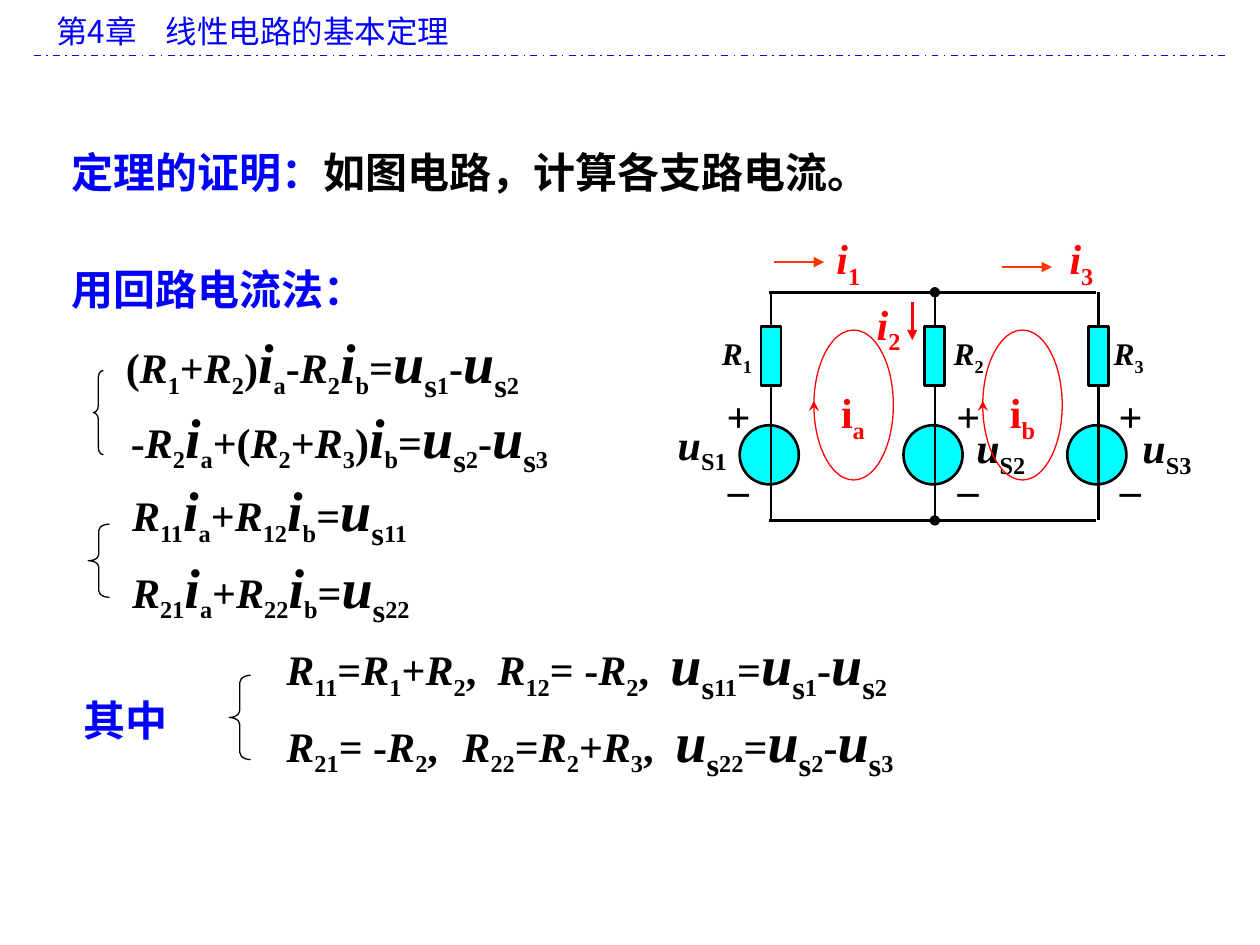
from itertools import groupby
from lxml.etree import SubElement
from pptx import Presentation
from pptx.dml.color import RGBColor
from pptx.enum.dml import MSO_LINE
from pptx.enum.shapes import MSO_CONNECTOR, MSO_SHAPE
from pptx.enum.text import MSO_ANCHOR, PP_ALIGN
from pptx.oxml.ns import qn
from pptx.util import Pt

BLACK, BLUE, RED, CYAN = "000000", "0000FF", "FF0000", "00FFFF"
SERIF, SANS = "Times New Roman", "Noto Sans CJK SC"
LEFT, MID = PP_ALIGN.LEFT, PP_ALIGN.CENTER


def tint(fmt, hue):
    fmt.rgb = RGBColor.from_string(hue)


def add_run(para, words, size, hue, font, bold, slant, sub):
    run = para.add_run()
    run.text = words
    run.font.size = Pt(size)
    run.font.bold = bold
    run.font.italic = slant
    run.font.name = font
    run.font.fill.solid()
    tint(run.font.fill.fore_color, hue)
    props = run._r.get_or_add_rPr()
    SubElement(props, qn("a:ea"), typeface=SANS)
    if sub:
        props.set("baseline", "-25000")


def write(para, words, size=24, big=None, hue=BLACK, font=SERIF,
          bold=True, slant=True):
    big = big or size
    for pos, part in enumerate(words.replace("}", "{").split("{")):
        sub = pos % 2 == 1
        heads = "s" if sub else "Riu"
        for head, chars in groupby(part, lambda c: c if c in heads else ""):
            large = head and head in "ius"
            add_run(para, "".join(chars), big if large else size, hue, font,
                    bold, bool(head) and slant and not sub, sub)


def set_tabs(para, stops):
    tabs = SubElement(para._p.get_or_add_pPr(), qn("a:tabLst"))
    for stop in stops:
        SubElement(tabs, qn("a:tab"), pos=str(Pt(stop)), algn="l")


def label(slide, rows, x, y, w, h, box=None, align=LEFT,
          anchor=MSO_ANCHOR.TOP, stops=(), **form):
    area = tuple(map(Pt, (x, y, w, h)))
    if box is None:
        box = slide.shapes.add_textbox(*area)
    box.left, box.top, box.width, box.height = area
    frame = box.text_frame
    frame.word_wrap = True
    frame.vertical_anchor = anchor
    for num, row in enumerate(rows.split("\n")):
        para = frame.add_paragraph() if num else frame.paragraphs[0]
        para.alignment = align
        if stops:
            set_tabs(para, stops[num])
        write(para, row, **form)
    return frame


def shape(slide, kind, x, y, w, h, fill=None, hue=BLACK, width=1.5):
    item = slide.shapes.add_shape(kind, *map(Pt, (x, y, w, h)))
    item.shadow.inherit = False
    if fill:
        item.fill.solid()
        tint(item.fill.fore_color, fill)
    else:
        item.fill.background()
    tint(item.line.color, hue)
    item.line.width = Pt(width)
    return item


def brace(slide, x, y, w, h, curve):
    item = shape(slide, MSO_SHAPE.LEFT_BRACE, x, y, w, h, width=0.75)
    item.adjustments[0] = curve


def wire(slide, x1, y1, x2, y2, hue=BLACK, width=1.5, head=None, tail=None):
    item = slide.shapes.add_connector(
        MSO_CONNECTOR.STRAIGHT, *map(Pt, (x1, y1, x2, y2)))
    tint(item.line.color, hue)
    item.line.width = Pt(width)
    pen = item.line._get_or_add_ln()
    for end, tip in (("headEnd", head), ("tailEnd", tail)):
        if tip:
            SubElement(pen, qn("a:" + end), type=tip)
    SubElement(item._element.spPr, qn("a:effectLst"))
    return item


def branch(slide, num, x, mark, res, volt, dot):
    top, base = 167, 297.4
    shape(slide, MSO_SHAPE.OVAL, x - 17.9, 243, 33.8, 33.8, CYAN)
    wire(slide, x, top, x, base, head=dot, tail=dot)
    shape(slide, MSO_SHAPE.RECTANGLE, x - 5.8, 186.6, 11.5, 33.8, CYAN)
    for sign, y in (("+", 219.6), ("_", 253.2)):
        label(slide, sign, mark, y, 27.5, 36, align=MID,
              anchor=MSO_ANCHOR.MIDDLE)
    label(slide, f"R{{{num}}}", res, 187.5, 48, 28.8, size=18)
    label(slide, f"u{{S{num}}}", *volt, 52, 36)


def loop(slide, name, x):
    shape(slide, MSO_SHAPE.OVAL, x, 188.6, 45.4, 85.7, hue=RED, width=0.75)
    label(slide, f"i{{{name}}}", x + 8.4, 217.4, 51, 36, hue=RED, slant=False)
    wire(slide, x, 233.3, x, 229, RED, 0.75, tail="stealth")


def circuit(slide):
    spots = [(408.2, 405.4, (380.2, 235.4), None),
             (539.5, 537.8, (550.8, 237.6), "oval"),
             (632.2, 629.3, (645.8, 237.6), None)]
    for num, spot in enumerate(spots):
        branch(slide, num + 1, 440.6 + 93.6 * num, *spot)
    for y in (167, 297.4):
        wire(slide, 439.2, y, 626.4, y)
    for num, x, y in ((1, 470.9, 129.6), (2, 493.9, 167), (3, 604.1, 129.6)):
        label(slide, f"i{{{num}}}", x, y, 36, 36, hue=RED)
    wire(slide, 521.3, 172.8, 521.3, 194.4, RED, tail="triangle")
    for x, y in ((442.1, 149.8), (572.4, 152.6)):
        wire(slide, x, y, x + 28.8, y, "FF3300", tail="triangle")
    loop(slide, "a", 465.1)
    loop(slide, "b", 561.6)


def proof(slide):
    mid = MSO_ANCHOR.MIDDLE
    frame = label(slide, "定理的证明：", 33.8, 80, 652.3, 36,
                  box=slide.shapes.title, anchor=mid, hue=BLUE)
    write(frame.paragraphs[0], "如图电路，计算各支路电流。")
    label(slide, "用回路电流法：", 33.8, 147, 288.7, 36, anchor=mid, hue=BLUE)
    label(slide, "其中", 38.9, 393, 66.2, 36, anchor=mid, align=MID, hue=BLUE)
    sums = [
        ("(R{1}+R{2})i{a}-R{2}i{b}=u{s1}-u{s2}", 64.8, 186.5, 310, 45.4, ()),
        ("-R{2}i{a}+(R{2}+R{3})i{b}=u{s2}-u{s3}", 67.7, 229, 312.5, 45.4, ()),
        ("R{11}i{a}+R{12}i{b}=u{s11}\nR{21}i{a}+R{22}i{b}=u{s22}",
         68.4, 273.6, 192.2, 84.2, ()),
        ("R{11}=R{1}+R{2},\tR{12}= -R{2},\tu{s11}=u{s1}-u{s2}\n"
         "R{21}= -R{2},\tR{22}=R{2}+R{3},\tu{s22}=u{s2}-u{s3}",
         156.6, 361.4, 376, 84.2, ((120.6, 219.4), (100.6, 222.3))),
    ]
    for rows, x, y, w, h, stops in sums:
        label(slide, rows, x, y, w, h, anchor=mid, stops=stops, big=32)
    brace(slide, 53.3, 211.7, 5.8, 48.2, 0.667)
    brace(slide, 50.4, 299.5, 12.2, 41.8, 0.292)
    brace(slide, 131, 385.9, 12.2, 48.2, 0.333)


def main():
    deck = Presentation()
    deck.slide_width, deck.slide_height = Pt(720), Pt(540)
    slide = deck.slides.add_slide(deck.slide_layouts[5])
    label(slide, "第4章\t线性电路的基本定理", 25.2, 3.6, 674.6, 28.8,
          stops=((62.5,),), size=18, hue=BLUE, font=SANS, bold=False)
    rule = wire(slide, 19.4, 31.7, 699.8, 31.7, BLUE, 1)
    rule.line.dash_style = MSO_LINE.DASH_DOT
    proof(slide)
    circuit(slide)
    deck.save("out.pptx")


if __name__ == "__main__":
    main()
